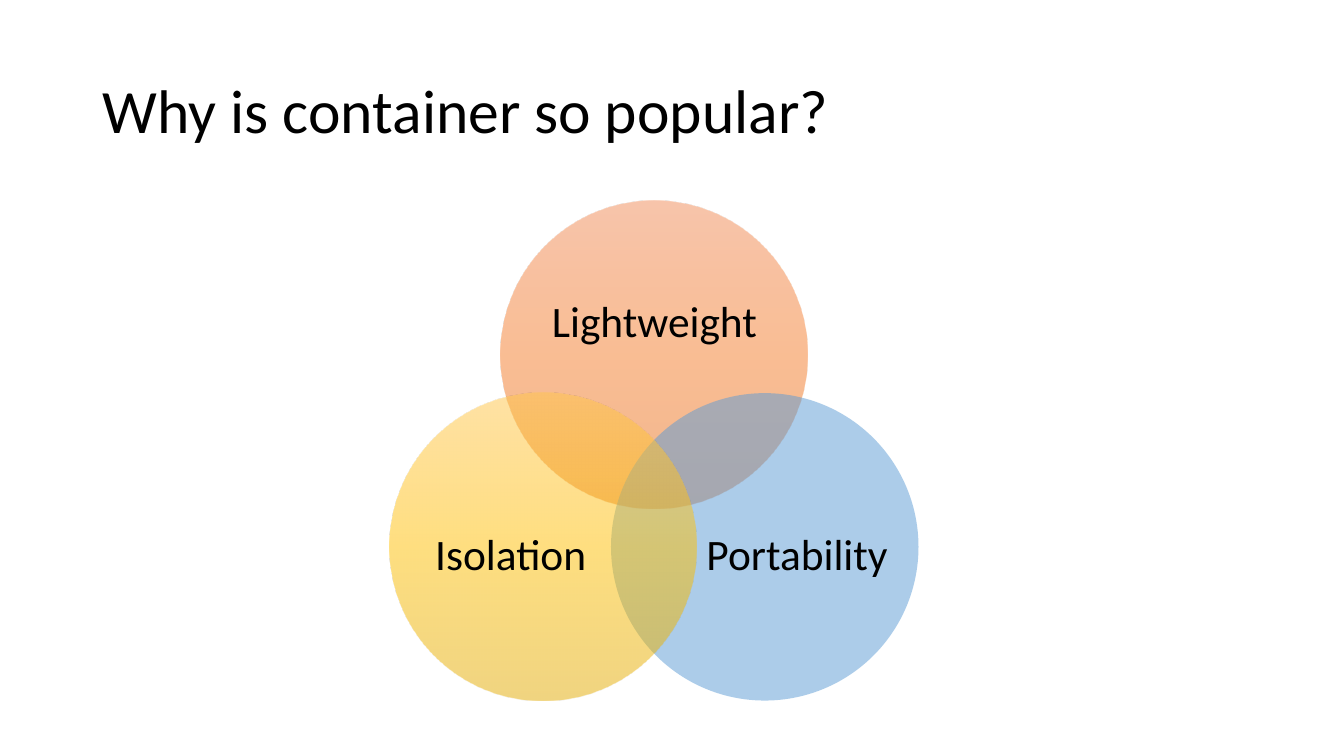
from lxml.etree import SubElement
from pptx import Presentation
from pptx.dml.color import RGBColor
from pptx.enum.shapes import MSO_SHAPE
from pptx.enum.text import MSO_ANCHOR, MSO_AUTO_SIZE, PP_ALIGN
from pptx.oxml.ns import qn
from pptx.util import Inches, Pt


def rgb(hex_color):
    return RGBColor.from_string(hex_color)


def write(frame, text, *, size, font, color, align=PP_ALIGN.LEFT, inset=None):
    frame.word_wrap = True
    frame.auto_size = MSO_AUTO_SIZE.NONE
    frame.vertical_anchor = MSO_ANCHOR.MIDDLE
    if inset is not None:
        frame.margin_left = frame.margin_right = Inches(inset)
        frame.margin_top = frame.margin_bottom = Inches(inset)
    paragraph = frame.paragraphs[0]
    paragraph.alignment = align
    paragraph.line_spacing = 0.9
    run = paragraph.add_run()
    run.text = text
    run.font.size = Pt(size)
    run.font.name = font
    run.font.color.rgb = rgb(color)


class VennSlide:
    font = "Calibri"
    ink = "000000"
    opacity = 50
    diameter = 3.05

    def __init__(self, deck):
        self.slide = deck.slides.add_slide(deck.slide_layouts[5])

    def title(self, text, left, top, width, height):
        heading = self.slide.shapes.title
        heading.left, heading.top = Inches(left), Inches(top)
        heading.width, heading.height = Inches(width), Inches(height)
        write(heading.text_frame, text, size=44, font=self.font, color=self.ink)

    def circle(self, left, top, colors):
        disc = self.slide.shapes.add_shape(
            MSO_SHAPE.OVAL, Inches(left), Inches(top),
            Inches(self.diameter), Inches(self.diameter))
        disc.shadow.inherit = False
        disc.line.fill.background()
        if len(colors) == 1:
            disc.fill.solid()
            disc.fill.fore_color.rgb = rgb(colors[0])
        else:
            self.vertical_gradient(disc, colors)
        # Make every colour of the fill see-through
        for color in disc._element.spPr.iter(qn("a:srgbClr")):
            SubElement(color, qn("a:alpha"), val=str(self.opacity * 1000))

    def vertical_gradient(self, disc, colors):
        disc.fill.gradient()
        disc.fill.gradient_angle = 270
        stops = next(disc._element.spPr.iter(qn("a:gsLst")))
        for stop in list(stops):
            stops.remove(stop)
        for index, color in enumerate(colors):
            position = 100000 * index // (len(colors) - 1)
            stop = SubElement(stops, qn("a:gs"), pos=str(position))
            SubElement(stop, qn("a:srgbClr"), val=color)

    def label(self, text, left, top, width, height):
        box = self.slide.shapes.add_textbox(
            Inches(left), Inches(top), Inches(width), Inches(height))
        write(box.text_frame, text, size=31, font=self.font, color=self.ink,
              align=PP_ALIGN.CENTER, inset=0)


def main():
    deck = Presentation()
    deck.slide_width, deck.slide_height = Inches(13.33), Inches(7.5)
    venn = VennSlide(deck)

    # Title
    venn.title("Why is container so popular?", 0.92, 0.4, 11.5, 1.45)

    # Venn circles: name, circle corner, fill colours, label box
    reasons = [
        ("Lightweight", (4.96, 1.99), ["F18C57", "F67B28", "E56C19"],
         (5.37, 2.52, 2.24, 1.37)),
        ("Portability", (6.06, 3.9), ["5B9BD5"], (6.99, 4.68, 1.83, 1.68)),
        ("Isolation", (3.86, 3.9), ["FFC64B", "FFC000", "E3AB00"],
         (4.15, 4.68, 1.83, 1.68)),
    ]
    for reason, corner, colors, label_area in reasons:
        venn.circle(*corner, colors)
        venn.label(reason, *label_area)

    deck.save("out.pptx")


if __name__ == "__main__":
    main()
